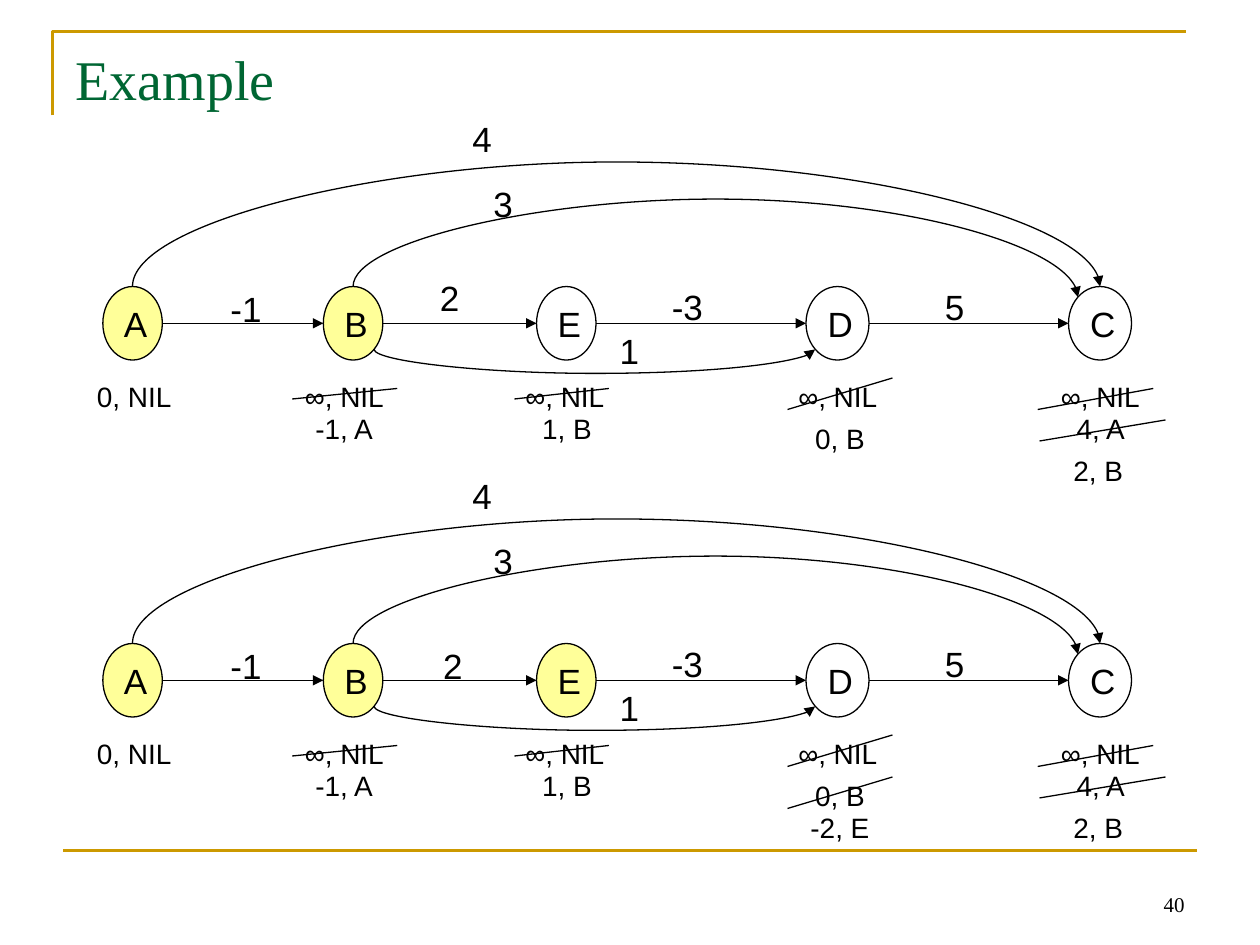
from lxml.etree import SubElement
from pptx import Presentation
from pptx.dml.color import RGBColor
from pptx.enum.shapes import MSO_CONNECTOR as Connector, MSO_SHAPE as Shape
from pptx.enum.text import MSO_ANCHOR as Anchor, MSO_AUTO_SIZE as AutoSize, PP_ALIGN as Align
from pptx.oxml.ns import qn
from pptx.util import Pt


def write(shape, text, size, font="Arial", color="000000", align=Align.CENTER,
          anchor=Anchor.TOP, wrap=False):
    frame = shape.text_frame
    frame.text = text
    frame.word_wrap = wrap
    frame.auto_size = AutoSize.NONE if wrap else AutoSize.SHAPE_TO_FIT_TEXT
    frame.vertical_anchor = anchor
    paragraph = frame.paragraphs[0]
    paragraph.alignment = align
    paragraph.font.size = Pt(size)
    paragraph.font.name = font
    paragraph.font.color.rgb = RGBColor.from_string(color)


def draw_line(x1, y1, x2, y2, color="000000", width=0.75, arrow=False, kind=Connector.STRAIGHT):
    connector = slide.shapes.add_connector(kind, Pt(x1), Pt(y1), Pt(x2), Pt(y2))
    connector.line.color.rgb = RGBColor.from_string(color)
    connector.line.width = Pt(width)
    if arrow:
        SubElement(connector.line._get_or_add_ln(), qn("a:tailEnd"), type="triangle")
    SubElement(connector._element.spPr, qn("a:effectLst"))
    return connector


presentation = Presentation()
presentation.slide_width, presentation.slide_height = Pt(720), Pt(540)
slide = presentation.slides.add_slide(presentation.slide_layouts[5])

# Frame, title and page number
builder = slide.shapes.build_freeform(Pt(30), Pt(66))
builder.add_line_segments([(Pt(30), Pt(18)), (Pt(678), Pt(18))], close=False)
corner = builder.convert_to_shape()
corner.shadow.inherit = False
corner.fill.background()
corner.line.color.rgb = RGBColor.from_string("CC9900")
corner.line.width = Pt(1.5)
draw_line(36, 486, 684, 486, "CC9900", 1.5)

title = slide.shapes.title
title.left, title.top, title.width, title.height = Pt(36), Pt(21.6), Pt(648), Pt(90)
write(title, "Example", 32, "Times New Roman", "006633", Align.LEFT, wrap=True)
page_number = slide.shapes.add_textbox(Pt(516), Pt(491.6), Pt(168), Pt(36))
write(page_number, "40", 12, "Times New Roman", align=Align.RIGHT, anchor=Anchor.BOTTOM, wrap=True)

# Geometry of one graph, measured from the slide top for the first one
node_top, node_height = 163.75, 42
axis = node_top + node_height / 2
nodes = [("A", 58.75, 34), ("B", 184.75, 34), ("E", 306.6, 34), ("D", 460.6, 36),
         ("C", 610.6, 36)]

# Start x, start y, end x, end y, height of the bulge (negative is upward)
curves = [(75.7, 163.6, 628.6, 163.72, -75.2),
          (213.8, 199.6, 465.8, 199.72, 14.6),
          (201.8, 163.6, 616, 169.8, -49.8)]

# Text, centre x, top
weights = [("-1", 140.6, 160.8), ("4", 275.5, 63.6), ("3", 287.5, 100.6), ("1", 359.6, 184.8),
           ("-3", 392.8, 159.6), ("5", 545.5, 159.6)]
estimates = [("0, NIL", 76.7, 213.6), ("∞, NIL", 196.8, 213.6), ("∞, NIL", 322.8, 213.6),
             ("∞, NIL", 478.8, 213.6), ("∞, NIL", 628.8, 213.6), ("-1, A", 196.6, 231.6),
             ("1, B", 324, 231.6), ("4, A", 629, 231.6), ("0, B", 480, 237.6),
             ("2, B", 627.6, 255.6)]
strikes = [(227, 222, 167, 228), (348, 222, 294, 228), (510, 216, 450, 234),
           (659, 222, 593, 234), (666, 240, 594, 252)]

# Vertical offset, visited nodes, and what is particular to each step
steps = [(0, "AB", [("2", 257, 154.4)], [], []),
         (204, "ABE", [("2", 258.8, 160.8)], [("-2, E", 480, 255.6)], [(510, 240, 450, 258)])]

for offset, visited, step_weights, step_estimates, step_strikes in steps:
    for name, left, width in nodes:
        node = slide.shapes.add_shape(Shape.OVAL, Pt(left), Pt(node_top + offset),
                                      Pt(width), Pt(node_height))
        node.shadow.inherit = False
        if name in visited:
            node.fill.solid()
            node.fill.fore_color.rgb = RGBColor.from_string("FFFF99")
        else:
            node.fill.background()
        node.line.color.rgb = RGBColor.from_string("000000")
        node.line.width = Pt(0.75)
        write(node, name, 20, anchor=Anchor.MIDDLE)

    for (_, left, width), (_, next_left, _) in zip(nodes, nodes[1:]):
        draw_line(left + width, axis + offset, next_left, axis + offset, arrow=True)

    for x1, y1, x2, y2, bulge in curves:
        # The connector is stored upright, then turned a quarter about its centre
        middle_x, middle_y = (x1 + x2) / 2, (y1 + y2) / 2 + offset
        half_span, half_drop = (x2 - x1) / 2, (y2 - y1) / 2
        curve = draw_line(middle_x - half_drop, middle_y + half_span,
                          middle_x + half_drop, middle_y - half_span,
                          arrow=True, kind=Connector.CURVE)
        properties = curve._element.spPr
        properties.find(qn("a:xfrm")).set("rot", "5400000")
        adjustments = properties.find(qn("a:prstGeom")).find(qn("a:avLst"))
        SubElement(adjustments, qn("a:gd"), name="adj1",
                   fmla=f"val {round(bulge / (y2 - y1) * 100000)}")

    for labels, size, width, height in [(weights + step_weights, 20, 36, 31),
                                        (estimates + step_estimates, 16, 64, 26.6)]:
        for text, center, top in labels:
            label = slide.shapes.add_textbox(Pt(center - width / 2), Pt(top + offset),
                                             Pt(width), Pt(height))
            write(label, text, size)

    for x1, y1, x2, y2 in strikes + step_strikes:
        draw_line(x1, y1 + offset, x2, y2 + offset)

presentation.save("out.pptx")
